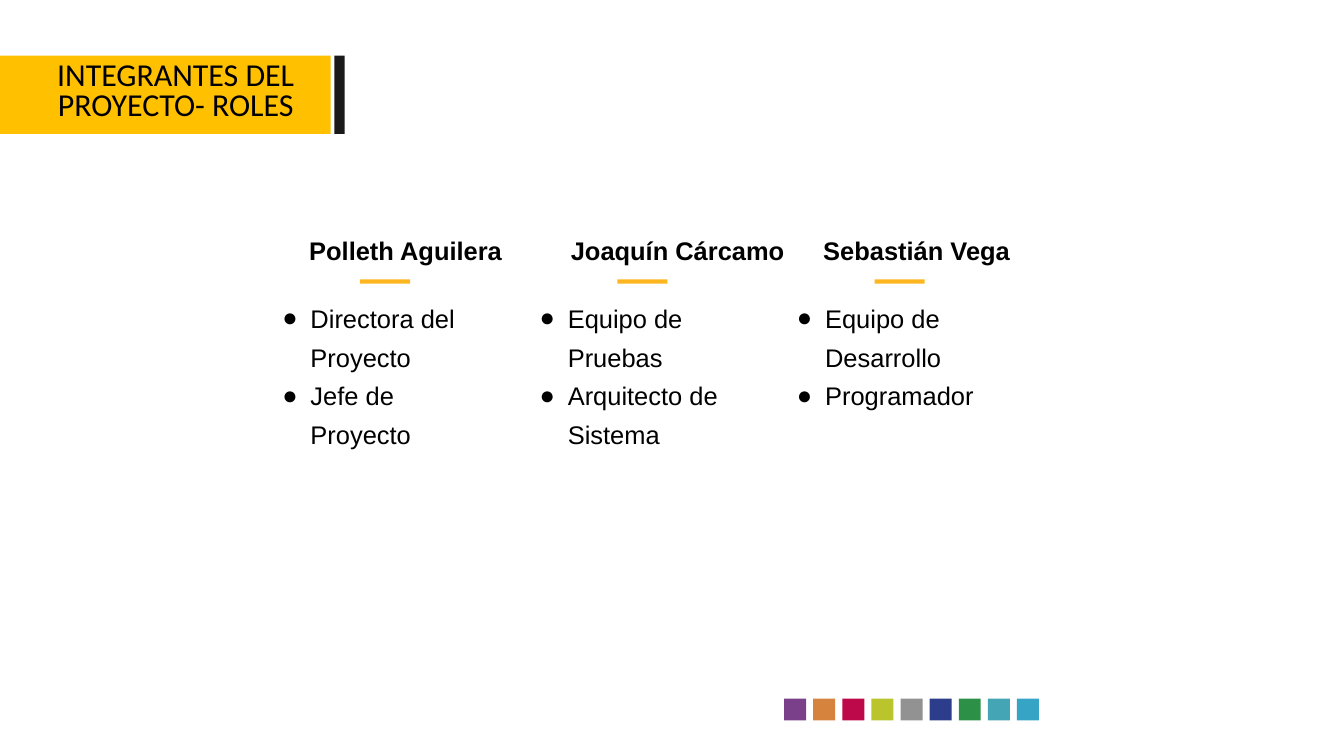
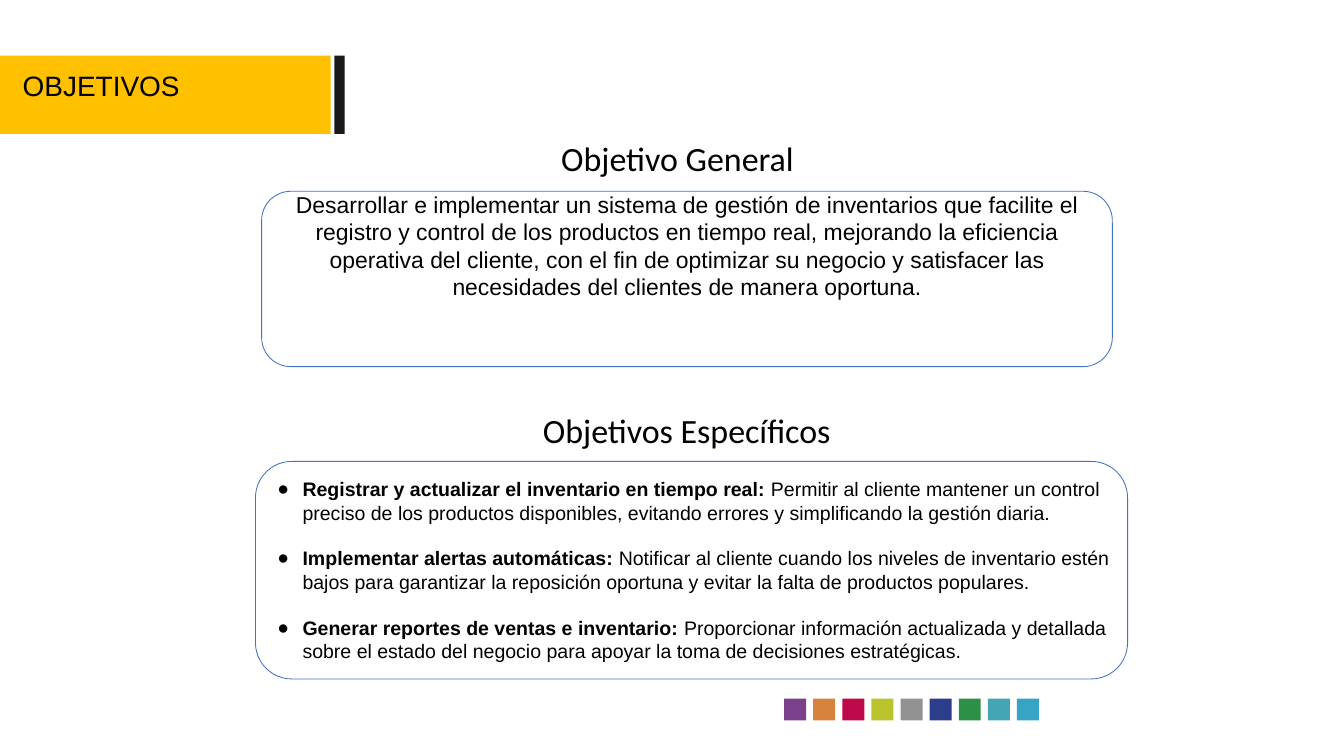
from lxml.etree import SubElement
from pptx import Presentation
from pptx.dml.color import RGBColor
from pptx.enum.shapes import MSO_SHAPE as Preset
from pptx.enum.text import MSO_ANCHOR as Anchor, MSO_AUTO_SIZE as AutoSize, PP_ALIGN as Align
from pptx.oxml.ns import qn
from pptx.util import Inches, Pt

BLACK = "000000"
WHITE = "FFFFFF"
GOLD = "FFC000"
AMBER = "FEB620"
CHARCOAL = "1A1A1A"
OUTLINE = "4472C4"
SWATCHES = ["7B408A", "D6843D", "BD0949", "BAC52E", "929292", "2C3E8B", "2C9146", "44A6B5", "35A4C5"]
SWATCH_LEFT, SWATCH_RIGHT = 12.83, 16.64
COLUMN_PITCH = 4.21
COMPARISON_LAYOUT = 4
TIGHT = (0, 0, 0, 0)
PADDED = (0.1, 0.05, 0.1, 0.05)


def color(hex_code):
    return RGBColor.from_string(hex_code)


class Deck:
    def __init__(self, width, height):
        self.prs = Presentation()
        self.prs.slide_width = Inches(width)
        self.prs.slide_height = Inches(height)
        self.layout = self.prs.slide_layouts[COMPARISON_LAYOUT]
        self.slide = None
        self.free_bodies = []

    def new_slide(self):
        self.slide = self.prs.slides.add_slide(self.layout)
        self.free_bodies = list(self.slide.placeholders)[1:]

    def drop_unused(self):
        for body in self.free_bodies:
            body.element.getparent().remove(body.element)
        self.free_bodies = []

    def box(self, left, top, width, height, fill=None, line=None, preset=Preset.RECTANGLE):
        shape = self.slide.shapes.add_shape(
            preset, Inches(left), Inches(top), Inches(width), Inches(height))
        shape.shadow.inherit = False
        if fill:
            shape.fill.solid()
            shape.fill.fore_color.rgb = color(fill)
        else:
            shape.fill.background()
        if line:
            shape.line.color.rgb = color(line)
            shape.line.width = Pt(1)
        else:
            shape.line.fill.background()
        return shape

    def share_frame(self):
        pitch = (SWATCH_RIGHT - SWATCH_LEFT) / (len(SWATCHES) - 1)
        frame = [self.box(0, 0.91, 5.41, 1.28, GOLD), self.box(5.47, 0.91, 0.17, 1.28, CHARCOAL)]
        frame += [self.box(SWATCH_LEFT + i * pitch, 11.43, 0.36, 0.36, swatch)
                  for i, swatch in enumerate(SWATCHES)]
        for number, part in enumerate(frame, 100):
            part.element.nvSpPr.cNvPr.set("id", str(number))
            self.layout.shapes.element.append(part.element)

    def place(self, shape, left, top, width, height):
        shape.left, shape.top = Inches(left), Inches(top)
        shape.width, shape.height = Inches(width), Inches(height)

    def set_text(self, shape, paragraphs, size, font="Arial", align=Align.LEFT, anchor=Anchor.TOP,
                 insets=TIGHT, spacing=1.0, gap=0, hanging=None):
        frame = shape.text_frame
        frame.word_wrap = True
        frame.auto_size = AutoSize.NONE
        frame.vertical_anchor = anchor
        frame.margin_left, frame.margin_top, frame.margin_right, frame.margin_bottom = map(Inches, insets)
        for i, parts in enumerate(paragraphs):
            paragraph = frame.paragraphs[0] if i == 0 else frame.add_paragraph()
            if hanging:
                self.bullet(paragraph, hanging)
            paragraph.alignment = align
            paragraph.line_spacing = spacing
            paragraph.space_before = Pt(gap if i else 0)
            for text, bold in parts:
                run = paragraph.add_run()
                run.text = text
                run.font.name = font
                run.font.size = Pt(size)
                run.font.bold = bold
                run.font.color.rgb = color(BLACK)

    def bullet(self, paragraph, hanging):
        properties = paragraph._p.get_or_add_pPr()
        properties.set("marL", str(Inches(0.5)))
        properties.set("indent", str(-Inches(hanging)))
        tint = SubElement(properties, qn("a:buClr"))
        SubElement(tint, qn("a:srgbClr")).set("val", BLACK)
        SubElement(properties, qn("a:buChar")).set("char", "●")

    def title(self, text, area, size, **style):
        title = self.slide.shapes.title
        self.place(title, *area)
        self.set_text(title, [[(text, False)]], size, **style)

    def bullets(self, items, area, size, **style):
        body = self.free_bodies.pop(0)
        self.place(body, *area)
        self.set_text(body, items, size, **style)

    def label(self, text, area, size, bold=False, **style):
        label = self.slide.shapes.add_textbox(*map(Inches, area))
        self.set_text(label, [[(text, bold)]], size, **style)

    def heading(self, text, left, top, width):
        self.label(text, (left, top, width, 0.77), 40, font="Calibri",
                   align=Align.CENTER, insets=PADDED)

    def panel(self, area, fill=None):
        return self.box(*area, fill=fill, line=OUTLINE, preset=Preset.ROUNDED_RECTANGLE)


def members_slide(deck):
    deck.title("INTEGRANTES DEL PROYECTO- ROLES", (0.1, 0.83, 5.55, 1.23), 37.6, font="Calibri",
               align=Align.CENTER, anchor=Anchor.BOTTOM, insets=PADDED, spacing=0.8)
    members = [
        ("Polleth Aguilera", 5.06, ["Directora del Proyecto", "Jefe de Proyecto"]),
        ("Joaquín Cárcamo", 9.34, ["Equipo de Pruebas", "Arquitecto de Sistema"]),
        ("Sebastián Vega", 13.47, ["Equipo de Desarrollo", "Programador"]),
    ]
    for column, (name, name_left, roles) in enumerate(members):
        offset = column * COLUMN_PITCH
        deck.label(name, (name_left, 3.83, 3.7, 0.6), 30, bold=True, insets=(0, 0.02, 0, 0))
        deck.box(5.89 + offset, 4.57, 0.82, 0.07, AMBER)
        deck.bullets([[(role, False)] for role in roles], (4.58 + offset, 4.81, 3.43, 3.72), 30,
                     insets=(0, 0.01, 0, 0), spacing=1.27, hanging=0.46)


def objectives_slide(deck):
    deck.title("OBJETIVOS", (0.37, 1.12, 5.6, 1.28), 33)
    deck.heading("Objetivo General", 4.42, 2.21, 13.33)
    general = deck.panel((4.28, 3.13, 13.92, 2.87), WHITE)
    deck.set_text(general, [[(
        "Desarrollar e implementar un sistema de gestión de inventarios que facilite el registro y "
        "control de los productos en tiempo real, mejorando la eficiencia operativa del cliente, con "
        "el fin de optimizar su negocio y satisfacer las necesidades del clientes de manera oportuna.",
        False)]], 27, align=Align.CENTER, anchor=Anchor.MIDDLE, insets=(0.1, 0.05, 0.1, 1.15))
    deck.heading("Objetivos Específicos", 3.39, 6.66, 15.69)
    deck.panel((4.18, 7.55, 14.27, 3.56))
    goals = [
        ("Registrar y actualizar el inventario en tiempo real:",
         " Permitir al cliente mantener un control preciso de los productos disponibles, "
         "evitando errores y simplificando la gestión diaria."),
        ("Implementar alertas automáticas:",
         " Notificar al cliente cuando los niveles de inventario estén bajos para garantizar "
         "la reposición oportuna y evitar la falta de productos populares."),
        ("Generar reportes de ventas e inventario:",
         " Proporcionar información actualizada y detallada sobre el estado del negocio para "
         "apoyar la toma de decisiones estratégicas."),
    ]
    deck.bullets([[(goal, True), (detail, False)] for goal, detail in goals],
                 (4.35, 7.72, 13.92, 3.21), 23, anchor=Anchor.MIDDLE, insets=PADDED,
                 gap=26.5, hanging=0.41)


def main():
    deck = Deck(21.99, 12.37)
    for number, build in enumerate([members_slide, objectives_slide]):
        deck.new_slide()
        if number == 0:
            deck.share_frame()
        build(deck)
        deck.drop_unused()
    deck.prs.save("out.pptx")


if __name__ == "__main__":
    main()
